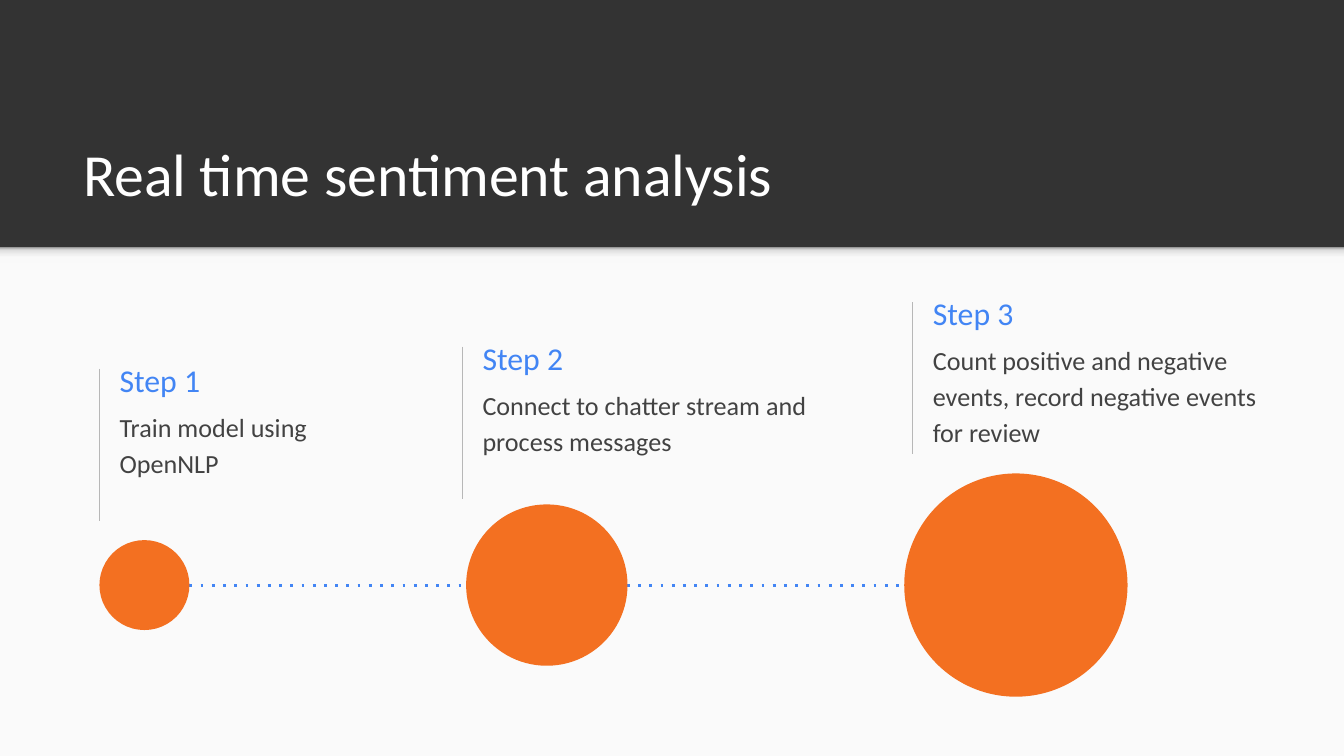
from lxml.etree import SubElement
from pptx import Presentation
from pptx.dml.color import RGBColor
from pptx.enum.dml import MSO_LINE
from pptx.enum.shapes import MSO_CONNECTOR, MSO_SHAPE
from pptx.enum.text import MSO_ANCHOR
from pptx.oxml.ns import qn
from pptx.util import Cm, Pt

COLORS = {
    "header": "333333",
    "body": "FAFAFA",
    "title": "FFFFFF",
    "accent": "4285F4",
    "text": "424242",
    "bar": "B7B7B7",
    "circle": "F37021",
}
EDGE_STOPS = [(0, "F9F9F9"), (36, "F9F9F9"), (80, "DEDEDE"), (100, "999999")]

FONTS = {
    "title": {"name": "Calibri", "size": Pt(32)},
    "heading": {"name": "Calibri", "size": Pt(17)},
    "detail": {"name": "Calibri", "size": Pt(14)},
}
DETAIL_SPACING = {"line_spacing": 1.15, "space_after": Pt(16)}

WIDTH, HEIGHT, HEADER_HEIGHT = 25.4, 14.29, 4.67
BAR_HEIGHT = 2.88
TIMELINE_Y = 11.06

# heading, detail, bar left, bar top, detail width, circle left, circle diameter
STEPS = [
    ("Step 1", "Train model using OpenNLP", 1.88, 6.97, 5.82, 1.88, 1.7),
    ("Step 2", "Connect to chatter stream and process messages",
     8.74, 6.55, 6.78, 8.81, 3.05),
    ("Step 3", "Count positive and negative events, record negative events for review",
     17.25, 5.71, 6.78, 17.09, 4.22),
]


def rgb(name):
    return RGBColor.from_string(COLORS[name])


def apply(target, values):
    for attribute, value in values.items():
        setattr(target, attribute, value)


def add_plain(slide, preset, left, top, width, height, color):
    plain = slide.shapes.add_shape(preset, Cm(left), Cm(top), Cm(width), Cm(height))
    plain.shadow.inherit = False
    plain.line.fill.background()
    plain.fill.solid()
    plain.fill.fore_color.rgb = rgb(color)
    return plain


def add_header_edge(slide):
    edge = add_plain(slide, MSO_SHAPE.RECTANGLE, 0, HEADER_HEIGHT, WIDTH, 0.3, "body")
    edge.fill.gradient()
    edge.fill.gradient_angle = 90
    stops = next(edge._element.iter(qn("a:gsLst")))
    for stop in list(stops):
        stops.remove(stop)
    for position, color in EDGE_STOPS:
        stop = SubElement(stops, qn("a:gs"), pos=str(position * 1000))
        SubElement(stop, qn("a:srgbClr"), val=color)


def add_text(slide, text, left, top, width, height, font, color, anchor, spacing=None):
    frame = slide.shapes.add_textbox(Cm(left), Cm(top), Cm(width), Cm(height)).text_frame
    margins = dict.fromkeys(
        ("margin_left", "margin_top", "margin_right", "margin_bottom"), Cm(0.25))
    apply(frame, {"word_wrap": True, "vertical_anchor": anchor, **margins})
    paragraph = frame.paragraphs[0]
    apply(paragraph, spacing or {})
    run = paragraph.add_run()
    run.text = text
    apply(run.font, FONTS[font])
    run.font.color.rgb = rgb(color)


def add_line(slide, x1, y1, x2, y2, color, width, dotted=False):
    connector = slide.shapes.add_connector(
        MSO_CONNECTOR.STRAIGHT, Cm(x1), Cm(y1), Cm(x2), Cm(y2))
    connector.line.color.rgb = rgb(color)
    connector.line.width = Pt(width)
    if dotted:
        connector.line.dash_style = MSO_LINE.ROUND_DOT
        next(connector._element.iter(qn("a:prstDash"))).set("val", "dot")
    SubElement(connector._element.spPr, qn("a:effectLst"))


def add_step_text(slide, heading, detail, left, top, detail_width):
    add_line(slide, left, top, left, top + BAR_HEIGHT, "bar", 0.75)
    text_left = left + 0.13
    add_text(slide, heading, text_left, top - 0.34, 5.03, 1.09,
             "heading", "accent", MSO_ANCHOR.MIDDLE)
    add_text(slide, detail, text_left, top + 0.47, detail_width, 1.6,
             "detail", "text", MSO_ANCHOR.TOP, DETAIL_SPACING)


def main():
    deck = Presentation()
    apply(deck, {"slide_width": Cm(WIDTH), "slide_height": Cm(HEIGHT)})
    slide = deck.slides.add_slide(deck.slide_layouts[6])

    # Dark header above a light body
    slide.background.fill.solid()
    slide.background.fill.fore_color.rgb = rgb("header")
    add_plain(slide, MSO_SHAPE.RECTANGLE, 0, HEADER_HEIGHT,
              WIDTH, HEIGHT - HEADER_HEIGHT, "body")
    add_header_edge(slide)
    add_text(slide, "Real time sentiment analysis", 1.32, 2.06, 22.83, 2.13,
             "title", "title", MSO_ANCHOR.BOTTOM)

    # Step descriptions
    for heading, detail, left, top, detail_width, *_ in STEPS:
        add_step_text(slide, heading, detail, left, top, detail_width)

    # Timeline with growing circles
    circles = [step[-2:] for step in STEPS]
    add_line(slide, sum(circles[0]), TIMELINE_Y, circles[-1][0], TIMELINE_Y,
             "accent", 1.5, dotted=True)
    for left, diameter in circles:
        add_plain(slide, MSO_SHAPE.OVAL, left, TIMELINE_Y - diameter / 2,
                  diameter, diameter, "circle")

    deck.save("out.pptx")


if __name__ == "__main__":
    main()
